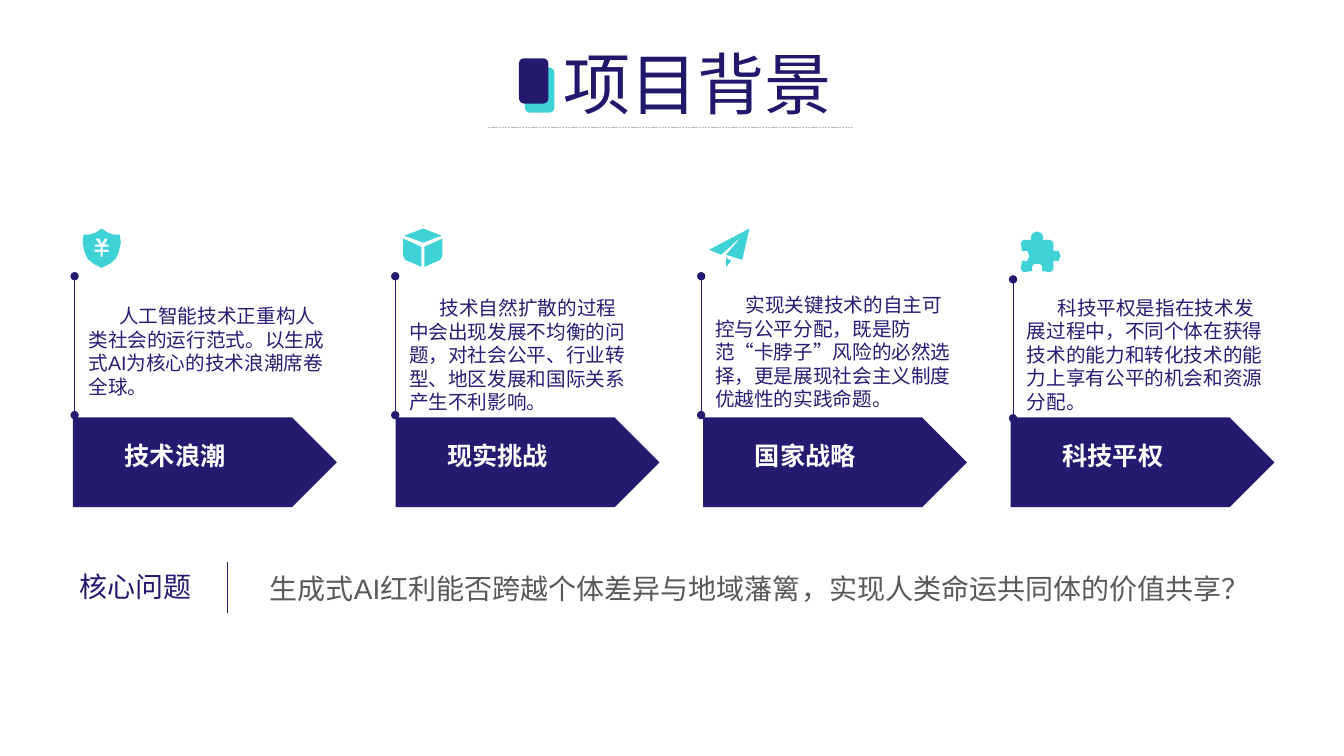
from math import cos, radians, sin

from lxml.etree import SubElement
from pptx import Presentation
from pptx.dml.color import RGBColor
from pptx.enum.dml import MSO_LINE
from pptx.enum.shapes import MSO_CONNECTOR, MSO_SHAPE
from pptx.enum.text import PP_ALIGN
from pptx.oxml.ns import qn
from pptx.util import Cm, Pt

COLORS = {
    "navy": "241B70", "teal": "3ED1D5", "body": "261D74", "title": "21186B",
    "heading": "22196E", "question": "595959", "rule": "BFBFBF", "white": "FFFFFF",
}
LATIN, CHINESE = "Arial", "Noto Sans CJK SC"


def arc(center_x, center_y, radius, start, end, steps=16):
    """Points on a circle, angles in degrees, clockwise from the right."""
    angles = [radians(start + (end - start) * i / steps) for i in range(steps + 1)]
    return [(center_x + radius * cos(a), center_y + radius * sin(a)) for a in angles]


# Icon outlines, in hundredths of an inch from the icon's top left corner
SHIELD = [
    [(19, 0), (25, 3.6), (31, 5.6), (37, 6), (37.7, 14), (36.5, 23), (33, 30), (27, 35),
     (19, 39), (11, 35), (5, 30), (1.5, 23), (0.3, 14), (1, 6), (7, 5.6), (13, 3.6)],
    [(26, 18), (20, 18), (20, 21), (26, 21), (26, 23), (20, 23), (20, 28), (18, 28),
     (18, 23), (12, 23), (12, 21), (18, 21), (18, 18), (12, 18), (12, 16), (17, 16),
     (13, 10), (17, 10), (19, 15), (22, 10), (25, 10), (22, 16), (26, 16)],
]
CUBE = [
    [(38, 7), (19.5, 14), (1, 7), (19.5, 0)],
    [(0, 10), (18, 17.5), (18, 38.5), (9, 34.5), (2, 31), (0, 27)],
    [(39, 10), (39, 27), (37, 31), (30, 34.5), (21, 38.5), (21, 17.5)],
]
PLANE = [
    [(33, 31), (17, 26), (33, 7), (12, 26), (0, 21), (39.5, 0)],
    [(17, 38), (17, 29), (22, 32)],
]
PUZZLE = [
    arc(4, 12, 4, 180, 270) + arc(16, 6, 6, 160, 380)
    + arc(28, 12, 4, 270, 360) + arc(33.5, 24, 5.5, 250, 470)
    + arc(28, 36, 4, 0, 90) + arc(16, 37, 5.5, 20, -200)
    + arc(4, 36, 4, 90, 180) + arc(2.5, 24, 5.5, 110, -110),
]

TITLE = "项目背景"
CORE_HEADING = "核心问题"
CORE_QUESTION = "生成式AI红利能否跨越个体差异与地域藩篱，实现人类命运共同体的价值共享？"

# label, body, icon, arrow left, stem left, stem top, body top, body width (cm)
COLUMNS = [
    ("技术浪潮",
     "人工智能技术正重构人类社会的运行范式。以生成式AI为核心的技术浪潮席卷全球。",
     SHIELD, 1.84, 1.88, 6.96, 7.54, 6.5),
    ("现实挑战",
     "技术自然扩散的过程中会出现发展不均衡的问题，对社会公平、行业转型、地区发展和国际关系产生不利影响。",
     CUBE, 9.97, 9.96, 6.96, 7.34, 6.02),
    ("国家战略",
     "实现关键技术的自主可控与公平分配，既是防范“卡脖子”风险的必然选择，更是展现社会主义制度优越性的实践命题。",
     PLANE, 17.72, 17.67, 6.96, 7.26, 6.5),
    ("科技平权",
     "科技平权是指在技术发展过程中，不同个体在获得技术的能力和转化技术的能力上享有公平的机会和资源分配。",
     PUZZLE, 25.47, 25.53, 7.04, 7.32, 6.5),
]
ARROW_TOP, ARROW_WIDTH, ARROW_HEIGHT = 10.52, 6.65, 2.26
STEM_LENGTH = 3.5
FIRST_LINE_INDENT = 0.77


def rgb(name):
    return RGBColor.from_string(COLORS[name])


def fill_shape(shape, color):
    shape.shadow.inherit = False
    shape.fill.solid()
    shape.fill.fore_color.rgb = rgb(color)
    shape.line.fill.background()


def add_block(slide, kind, left, top, width, height, color):
    shape = slide.shapes.add_shape(kind, Cm(left), Cm(top), Cm(width), Cm(height))
    fill_shape(shape, color)


def add_icon(slide, outlines, left, top):
    first, *others = outlines
    builder = slide.shapes.build_freeform(*first[0], scale=Cm(2.54) / 100)
    builder.add_line_segments(first[1:], close=True)
    for outline in others:
        builder.move_to(*outline[0])
        builder.add_line_segments(outline[1:], close=True)
    fill_shape(builder.convert_to_shape(Cm(left), Cm(top)), "teal")


def add_line(slide, start, end, color, width, dash=None, oval_ends=False):
    line = slide.shapes.add_connector(
        MSO_CONNECTOR.STRAIGHT, *(Cm(value) for value in start + end))
    line.line.color.rgb = rgb(color)
    line.line.width = Pt(width)
    if dash:
        line.line.dash_style = dash
    if oval_ends:
        outline = line.line._get_or_add_ln()
        for tag in ("a:headEnd", "a:tailEnd"):
            SubElement(outline, qn(tag), type="oval")
    SubElement(line._element.spPr, qn("a:effectLst"))


def add_text(slide, text, left, top, width, height, size, color,
             align=PP_ALIGN.LEFT, bold=False, latin=LATIN, indent=0):
    box = slide.shapes.add_textbox(Cm(left), Cm(top), Cm(width), Cm(height))
    box.text_frame.word_wrap = True
    paragraph = box.text_frame.paragraphs[0]
    paragraph.alignment = align
    if indent:
        paragraph._p.get_or_add_pPr().set("indent", str(Cm(indent)))
    run = paragraph.add_run()
    run.text = text
    run.font.size = Pt(size)
    run.font.bold = bold
    run.font.color.rgb = rgb(color)
    run.font.name = latin
    properties = run._r.get_or_add_rPr()
    properties.set("lang", "zh-CN")
    SubElement(properties, qn("a:ea"), typeface=CHINESE)


def add_header(slide):
    add_text(slide, TITLE, 13.94, 0.94, 13.23, 4.37, 48, "title")
    for left, top, color in ((13.23, 1.7, "teal"), (13.08, 1.47, "navy")):
        add_block(slide, MSO_SHAPE.ROUNDED_RECTANGLE, left, top, 0.74, 1.14, color)
    add_line(slide, (12.29, 3.2), (21.49, 3.2), "rule", 0.5, MSO_LINE.SQUARE_DOT)


def add_column(slide, label, body, icon, arrow_left, stem_left, stem_top,
               body_top, body_width):
    add_block(slide, MSO_SHAPE.PENTAGON, arrow_left, ARROW_TOP,
              ARROW_WIDTH, ARROW_HEIGHT, "navy")
    add_line(slide, (stem_left, stem_top), (stem_left, stem_top + STEM_LENGTH),
             "navy", 0.25, oval_ends=True)
    add_icon(slide, icon, stem_left + 0.2, stem_top - 1.2)
    add_text(slide, body, stem_left + 0.1, body_top, body_width, 3.25, 14, "body",
             indent=FIRST_LINE_INDENT)
    add_text(slide, label, arrow_left + 0.05, ARROW_TOP + 0.45, 5.05, 1.02, 18,
             "white", PP_ALIGN.CENTER, bold=True)


def add_core_question(slide):
    add_text(slide, CORE_QUESTION, 6.02, 14.27, 26.26, 1.12, 20, "question",
             PP_ALIGN.CENTER)
    add_line(slide, (5.72, 14.15), (5.72, 15.44), "navy", 0.5)
    add_text(slide, CORE_HEADING, 1.09, 14.22, 3.99, 1.12, 20, "heading",
             PP_ALIGN.RIGHT, latin=CHINESE)


def main():
    presentation = Presentation()
    presentation.slide_width, presentation.slide_height = Cm(33.87), Cm(19.05)
    slide = presentation.slides.add_slide(presentation.slide_layouts[6])
    for column in COLUMNS:
        add_column(slide, *column)
    add_core_question(slide)
    add_header(slide)
    presentation.save("out.pptx")


if __name__ == "__main__":
    main()
